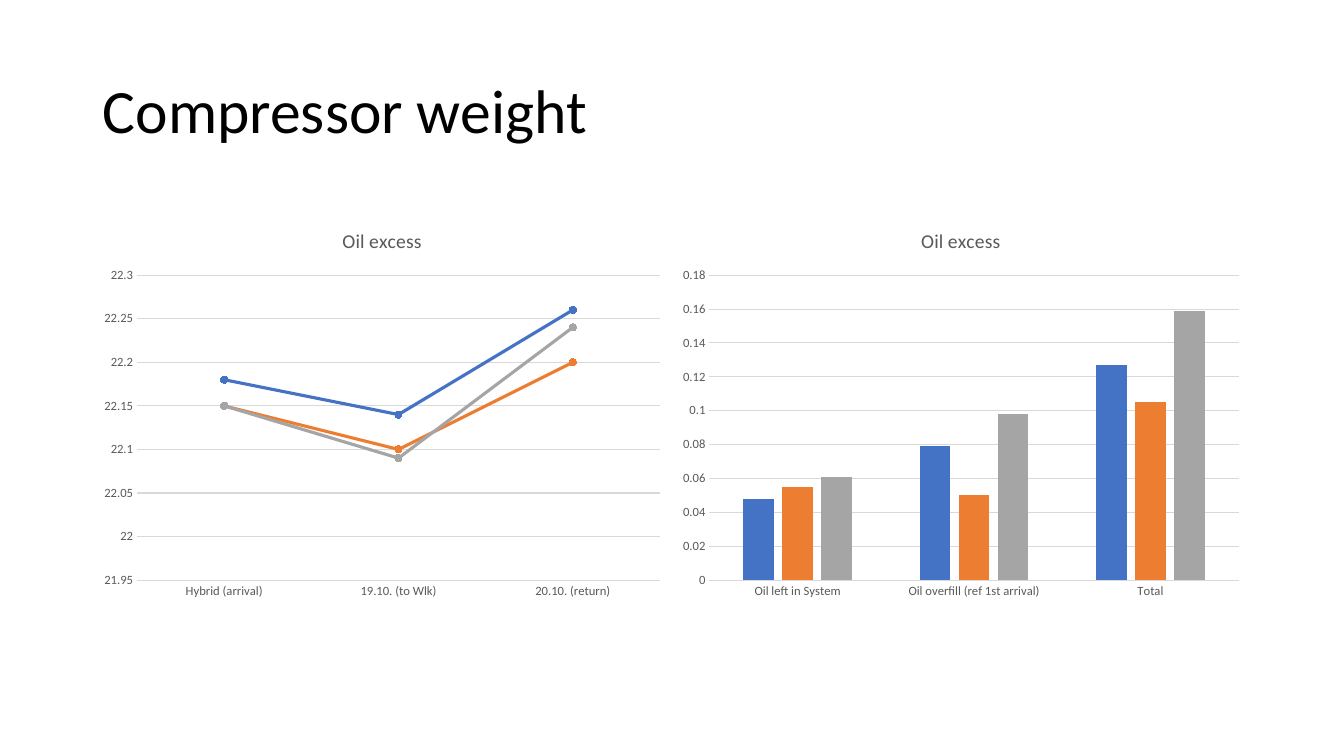
from pptx import Presentation
from pptx import util as u
from pptx.chart.data import CategoryChartData
from pptx.dml.color import RGBColor
from pptx.enum import chart as charts, text

BLACK = RGBColor(0x00, 0x00, 0x00)
GREY_TEXT = RGBColor(0x59, 0x59, 0x59)
GRID = RGBColor(0xD9, 0xD9, 0xD9)
BLUE = RGBColor(0x44, 0x72, 0xC4)
ORANGE = RGBColor(0xED, 0x7D, 0x31)
GREY = RGBColor(0xA5, 0xA5, 0xA5)


class SlideBuilder:
    """Hold the style and the current slide, and add its elements."""

    font_name = "Calibri"
    series_colors = (BLUE, ORANGE, GREY)
    chart_top, chart_width, chart_height = 2.09, 5.74, 3.93

    def __init__(self, presentation):
        self.slide = presentation.slides.add_slide(presentation.slide_layouts[5])

    def style_font(self, font, size, color):
        font.name = self.font_name
        font.size = u.Pt(size)
        font.bold = False
        font.color.rgb = color

    def style_line(self, line, color, width):
        line.color.rgb = color
        line.width = u.Pt(width)

    def add_title(self, wording):
        title = self.slide.shapes.title
        title.left, title.top = u.Inches(0.92), u.Inches(0.4)
        title.width, title.height = u.Inches(11.5), u.Inches(1.45)
        frame = title.text_frame
        frame.word_wrap = True
        frame.vertical_anchor = text.MSO_ANCHOR.MIDDLE
        paragraph = frame.paragraphs[0]
        paragraph.alignment = text.PP_ALIGN.LEFT
        paragraph.line_spacing = 0.9
        run = paragraph.add_run()
        run.text = wording
        self.style_font(run.font, 44, BLACK)

    def add_chart(self, kind, left, title, categories, rows):
        data = CategoryChartData()
        data.categories = categories
        for number, values in enumerate(rows, 1):
            data.add_series(f"Series {number}", values)
        chart = self.slide.shapes.add_chart(
            kind, u.Inches(left), u.Inches(self.chart_top),
            u.Inches(self.chart_width), u.Inches(self.chart_height), data).chart
        self.style_font(chart.font, 10, BLACK)
        chart.has_legend = False
        chart.has_title = True
        run = chart.chart_title.text_frame.paragraphs[0].add_run()
        run.text = title
        self.style_font(run.font, 14, GREY_TEXT)
        chart.chart_title.include_in_layout = False
        for axis in (chart.category_axis, chart.value_axis):
            axis.major_tick_mark = axis.minor_tick_mark = charts.XL_TICK_MARK.NONE
            self.style_font(axis.tick_labels.font, 9, GREY_TEXT)
        self.style_line(chart.category_axis.format.line, GRID, 0.75)
        chart.value_axis.format.line.fill.background()
        self.style_line(chart.value_axis.major_gridlines.format.line, GRID, 0.75)
        chart.plots[0].vary_by_categories = False
        return chart

    def set_scale(self, chart, minimum, maximum, step):
        axis = chart.value_axis
        axis.minimum_scale, axis.maximum_scale = minimum, maximum
        axis.major_unit = step

    def add_line_chart(self, left, title, categories, rows, scale):
        chart = self.add_chart(charts.XL_CHART_TYPE.LINE_MARKERS, left, title, categories, rows)
        self.set_scale(chart, *scale)
        for series, color in zip(chart.plots[0].series, self.series_colors):
            series.smooth = False
            self.style_line(series.format.line, color, 2.25)
            marker = series.marker
            marker.style = charts.XL_MARKER_STYLE.CIRCLE
            marker.size = 5
            marker.format.fill.solid()
            marker.format.fill.fore_color.rgb = color
            self.style_line(marker.format.line, color, 0.75)

    def add_column_chart(self, left, title, categories, rows, scale):
        chart = self.add_chart(charts.XL_CHART_TYPE.COLUMN_CLUSTERED, left, title, categories, rows)
        self.set_scale(chart, *scale)
        plot = chart.plots[0]
        plot.gap_width, plot.overlap = 219, -27
        for series, color in zip(plot.series, self.series_colors):
            series.invert_if_negative = False
            series.format.fill.solid()
            series.format.fill.fore_color.rgb = color


def main():
    presentation = Presentation()
    presentation.slide_width = u.Inches(13.33)
    presentation.slide_height = u.Inches(7.5)
    builder = SlideBuilder(presentation)
    builder.add_title("Compressor weight")
    builder.add_line_chart(
        0.92, "Oil excess",
        ("Hybrid (arrival)", "19.10. (to Wlk)", "20.10. (return)"),
        ((22.18, 22.14, 22.26), (22.15, 22.1, 22.2), (22.15, 22.09, 22.24)),
        (21.95, 22.3, 0.05))
    builder.add_column_chart(
        6.66, "Oil excess",
        ("Oil left in System", "Oil overfill (ref 1st arrival)", "Total"),
        ((0.048, 0.079, 0.127), (0.055, 0.05, 0.105), (0.061, 0.098, 0.159)),
        (0, 0.18, 0.02))
    presentation.save("out.pptx")


if __name__ == "__main__":
    main()
